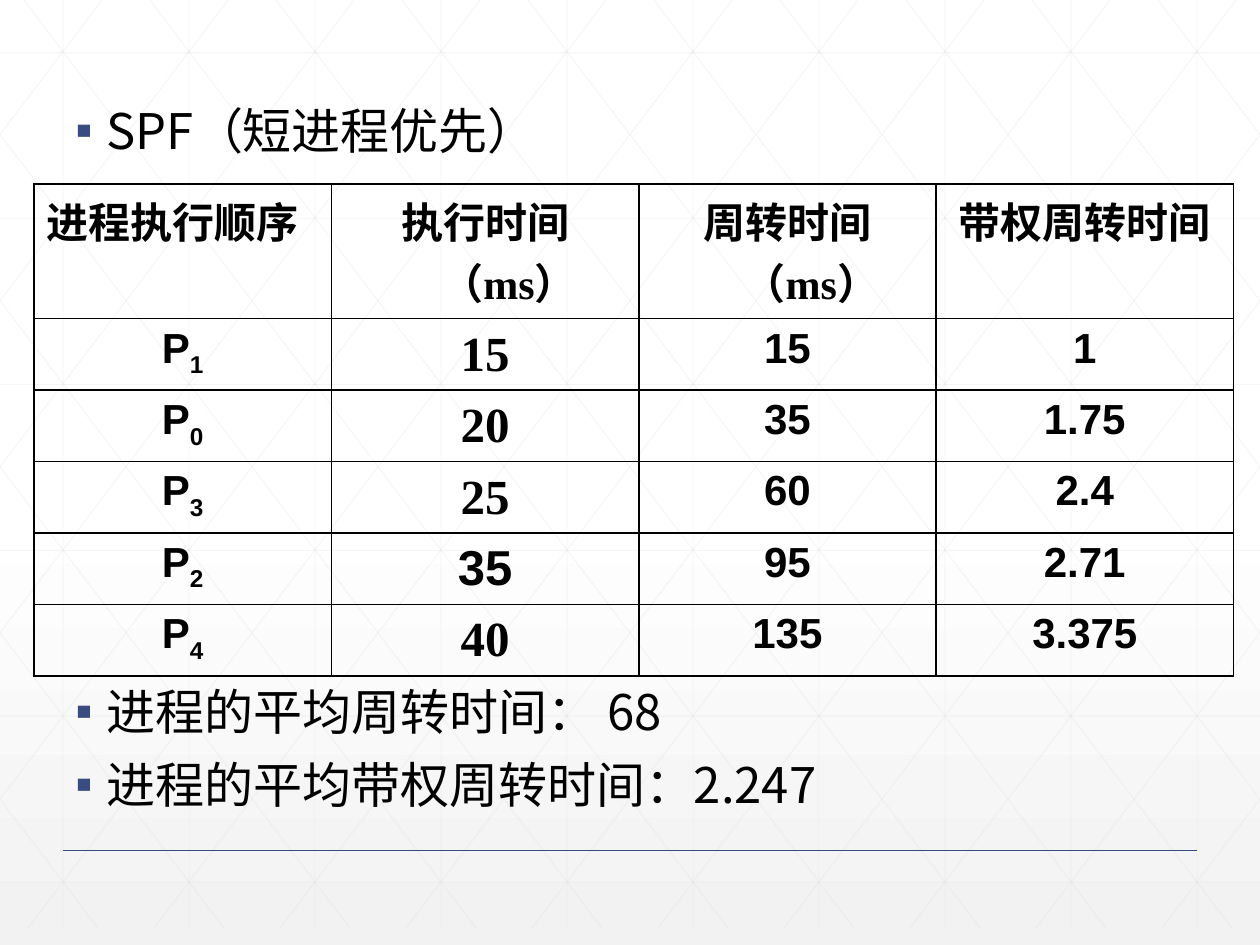
from lxml import etree
from pptx import Presentation, util as u
from pptx.dml.color import RGBColor
from pptx.enum import shapes, text
from pptx.oxml import ns, parse_xml

BLACK = RGBColor(0, 0, 0)
WHITE = RGBColor(0xFF, 0xFF, 0xFF)
PALE = RGBColor(0xF2, 0xF2, 0xF2)
GREY = RGBColor(0xD9, 0xD9, 0xD9)
NAVY = RGBColor(0x38, 0x4C, 0x81)

SANS = "Noto Sans CJK SC"
SERIF = "Times New Roman"
ARIAL = "Arial"

WIDE, DEEP = 10, 7.37
RUN = 5.59

HEADS = ["进程执行顺序", "执行时间（ms）", "周转时间（ms）", "带权周转时间"]
ROWS = [
    ("1", "15", "15", "1"),
    ("0", "20", "35", "1.75"),
    ("3", "25", "60", "2.4"),
    ("2", "35", "95", "2.71"),
    ("4", "40", "135", "3.375"),
]


def add(parent, tag, **attrs):
    return etree.SubElement(parent, ns.qn(tag), attrs)


class Deck:
    def __init__(self):
        self.prs = Presentation()
        self.prs.slide_width = u.Inches(10)
        self.prs.slide_height = u.Inches(7.5)
        self.slide = self.prs.slides.add_slide(self.prs.slide_layouts[6])

    def back(self):
        fill = self.slide.background.fill
        fill.gradient()
        fill.gradient_angle = 270
        for stop, spot, tint in zip(fill.gradient_stops, (0.53, 1), (WHITE, PALE)):
            stop.position = spot
            stop.color.rgb = tint

    def line(self, home, start, end, tint, size, alpha=None):
        ends = [u.Inches(v) for v in (*start, *end)]
        line = home.add_connector(shapes.MSO_CONNECTOR.STRAIGHT, *ends)
        line.line.color.rgb = tint
        line.line.width = u.Pt(size)
        props = line._element.spPr
        if alpha:
            add(props.find(".//" + ns.qn("a:srgbClr")), "a:alpha", val=str(alpha * 1000))
        add(props, "a:effectLst")

    def grid(self):
        home = self.slide.shapes.add_group_shape().shapes
        rule = dict(tint=GREY, size=0.5, alpha=25)
        for i in range(10):
            self.line(home, (i + 0.5, 0), (i + 0.5, DEEP), **rule)
        for i in range(6):
            y = 0.42 + 1.316 * i
            self.line(home, (0, y), (WIDE, y), **rule)
        for i in range(-5, 10):
            top = i + 0.19
            left, right = max(top, 0), min(top + RUN, WIDE)
            y1, y2 = [(x - top) * DEEP / RUN for x in (left, right)]
            self.line(home, (left, y1), (right, y2), **rule)
            self.line(home, (WIDE - left, y1), (WIDE - right, y2), **rule)

    def run(self, para, words, face, size, bold=False, base=0):
        run = para.add_run()
        run.text = words
        font = run.font
        font.name, font.size, font.bold = face, u.Pt(size), bold
        font.color.rgb = BLACK
        props = run._r.get_or_add_rPr()
        add(props, "a:ea", typeface=SANS)
        if base:
            props.set("baseline", str(base * 1000))

    def hang(self, para, size):
        props = para._p.get_or_add_pPr()
        props.set("marL", str(u.Inches(size)))
        props.set("indent", str(-u.Inches(size)))
        return props

    def list(self, box, items):
        frame = self.slide.shapes.add_textbox(*map(u.Inches, box)).text_frame
        frame.word_wrap = True
        for i, (words, gap) in enumerate(items):
            para = frame.paragraphs[0] if i == 0 else frame.add_paragraph()
            props = self.hang(para, 0.25)
            tint = add(props, "a:buClr")
            add(tint, "a:srgbClr", val=str(NAVY))
            add(props, "a:buFont", typeface=ARIAL)
            add(props, "a:buChar", char="▪")
            para.line_spacing = 0.8
            if gap:
                para.space_before = u.Pt(gap)
            self.run(para, words, SANS, 28)

    def edge(self, cell):
        props = cell._tc.get_or_add_tcPr()
        for i, side in enumerate(("lnL", "lnR", "lnT", "lnB")):
            props.insert(i, parse_xml(
                f'<a:{side} {ns.nsdecls("a")} w="12700"><a:solidFill>'
                f'<a:srgbClr val="{BLACK}"/></a:solidFill></a:{side}>'))

    def table(self, box, cols, rows):
        table = self.slide.shapes.add_table(
            len(rows), len(cols), *map(u.Inches, box)).table
        table.first_row = table.horz_banding = False
        for col, size in zip(table.columns, cols):
            col.width = u.Inches(size)
        for row, size in zip(table.rows, rows):
            row.height = u.Inches(size)
        for cell in table.iter_cells():
            cell.fill.background()
            self.edge(cell)
            cell.text_frame.paragraphs[0].alignment = text.PP_ALIGN.CENTER
        for c, words in enumerate(HEADS):
            para = table.cell(0, c).text_frame.paragraphs[0]
            self.hang(para, 0.38)
            self.run(para, words, SERIF, 24, True)
        table.cell(0, 0).text_frame.paragraphs[0].alignment = text.PP_ALIGN.LEFT
        for r, (name, *vals) in enumerate(ROWS, 1):
            para = table.cell(r, 0).text_frame.paragraphs[0]
            self.run(para, "P", ARIAL, 24, True)
            self.run(para, name, ARIAL, 24, True, -25)
            for c, val in enumerate(vals, 1):
                cell = table.cell(r, c)
                para = cell.text_frame.paragraphs[0]
                if c == 1:
                    cell.vertical_anchor = text.MSO_ANCHOR.MIDDLE
                    self.hang(para, 0.38)
                    self.run(para, val, ARIAL if name == "2" else SERIF, 28, True)
                else:
                    self.run(para, val, ARIAL, 24, True)


def main():
    deck = Deck()
    deck.back()
    deck.grid()
    deck.line(deck.slide.shapes, (0.5, 6.75), (9.5, 6.75), NAVY, 1)
    deck.list((0.5, 0.84, 9.5, 5.74), [
        ("SPF（短进程优先）", 0),
        ("进程的平均周转时间： 68", 305),
        ("进程的平均带权周转时间：2.247", 15),
    ])
    deck.table((0.27, 1.46, 9.52, 3.8), [2.36, 2.44, 2.36, 2.36],
               [1.07] + [0.55] * len(ROWS))
    deck.prs.save("out.pptx")


if __name__ == "__main__":
    main()
